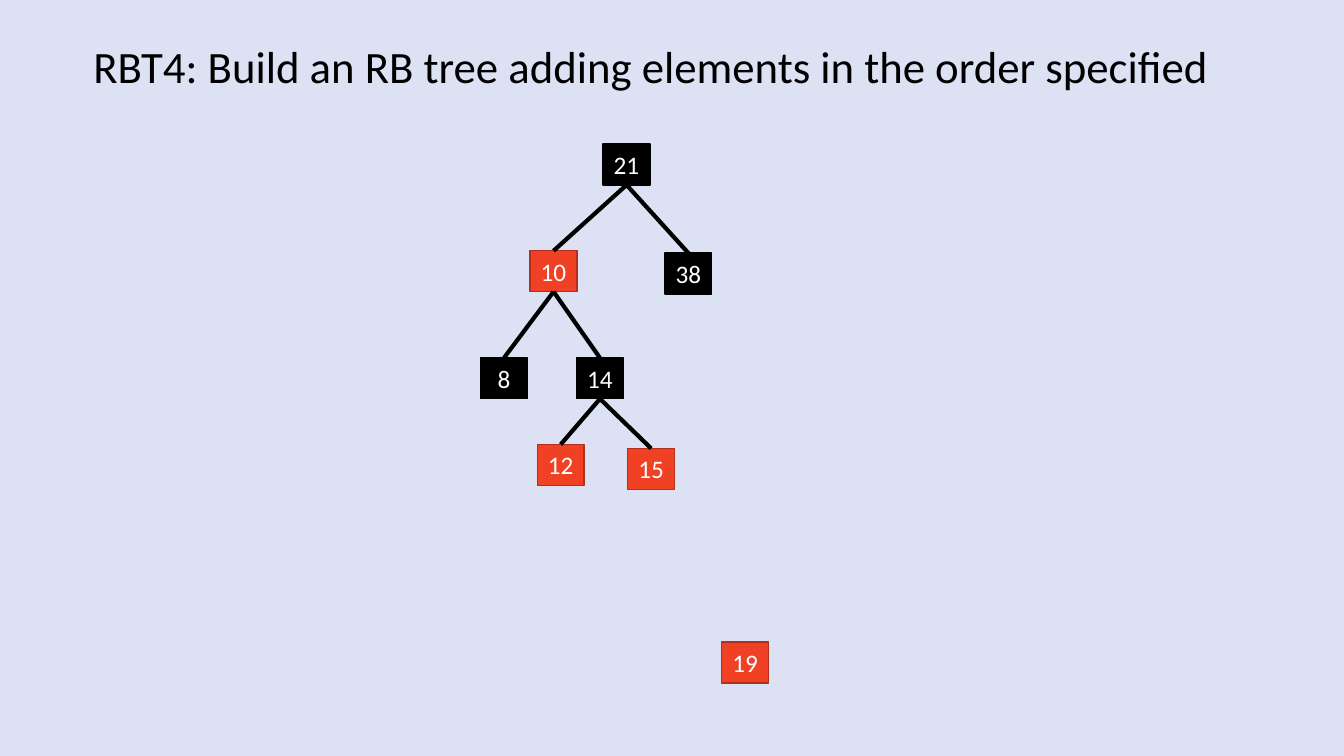
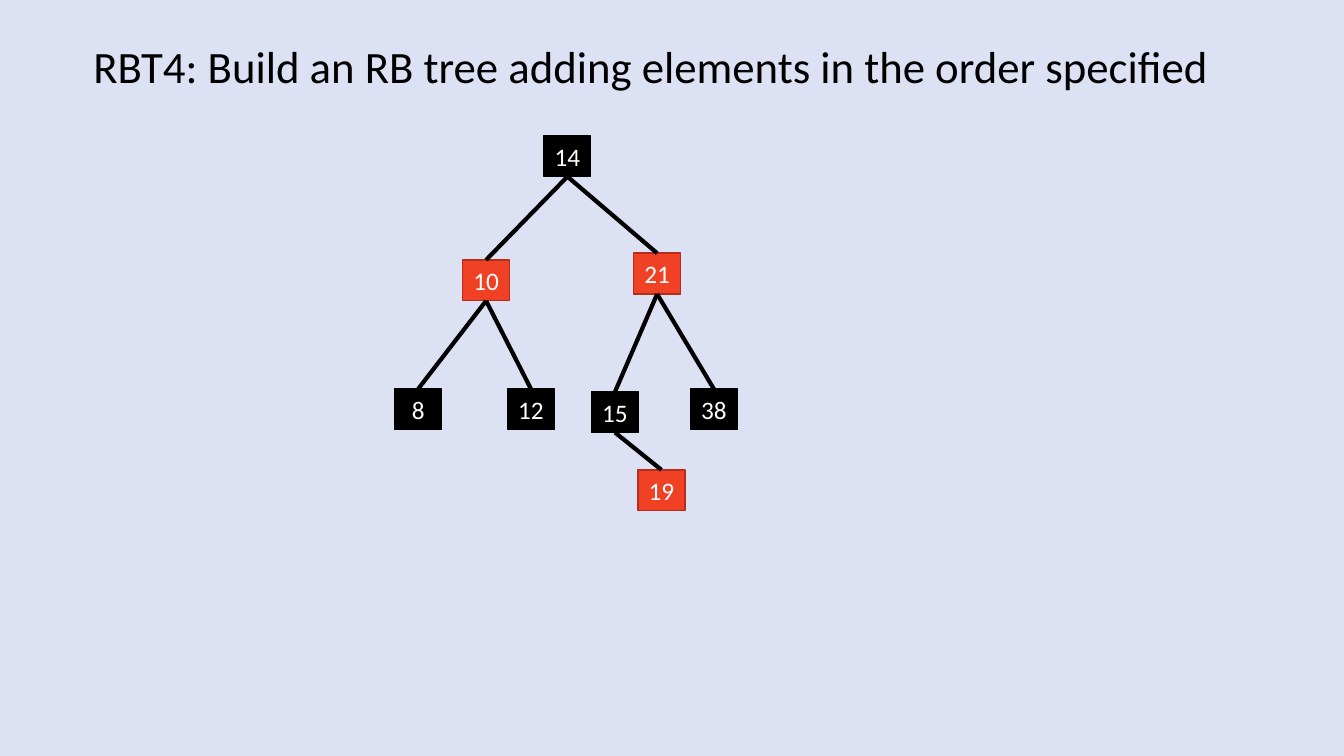
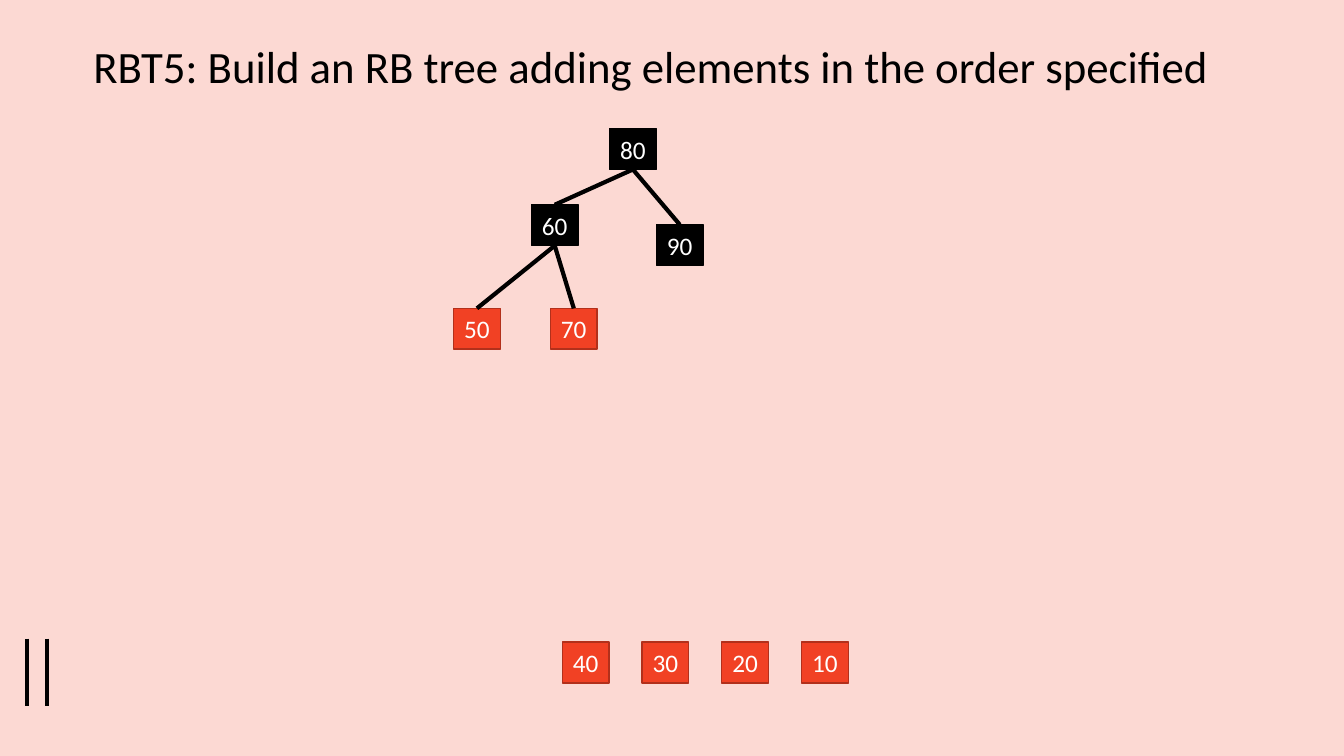
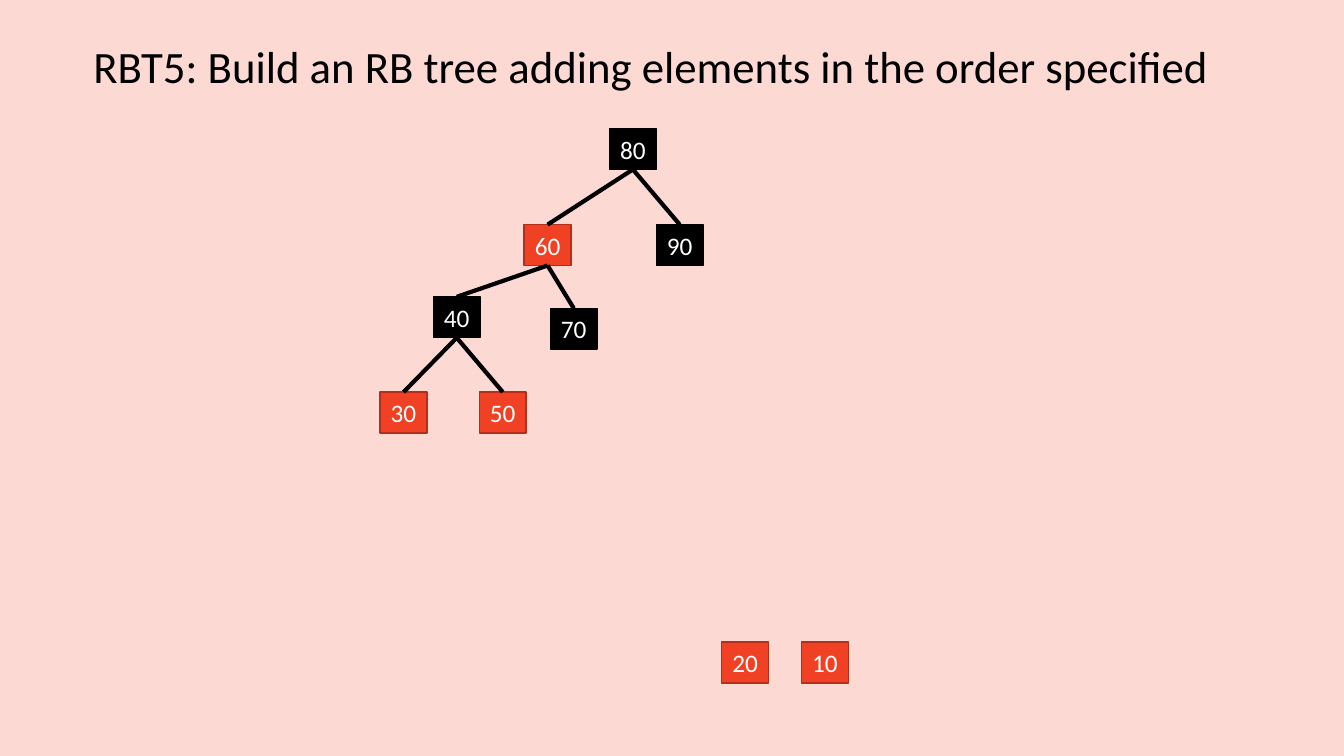
from dataclasses import dataclass

from lxml.etree import SubElement
from pptx import Presentation
from pptx.dml.color import RGBColor
from pptx.enum.shapes import MSO_CONNECTOR, MSO_SHAPE
from pptx.enum.text import MSO_ANCHOR, MSO_AUTO_SIZE, PP_ALIGN
from pptx.oxml.ns import qn
from pptx.util import Cm, Pt


@dataclass(frozen=True)
class Theme:
    font: str = "Calibri"
    title_size: int = 32
    node_size: int = 18
    outline: int = 1
    edge: int = 3
    black: RGBColor = RGBColor.from_string("000000")
    red: RGBColor = RGBColor.from_string("F14124")
    red_outline: RGBColor = RGBColor.from_string("B2301B")
    white: RGBColor = RGBColor.from_string("FFFFFF")
    blue_page: RGBColor = RGBColor.from_string("DCE1F4")
    pink_page: RGBColor = RGBColor.from_string("FCD9D3")


theme = Theme()
OUTLINES = {theme.black: theme.black, theme.red: theme.red_outline}
NODE_WIDTH, NODE_HEIGHT = 1.18, 1.03
QUEUE_LEFT, QUEUE_TOP, QUEUE_STEP = 14.17, 16.18, 2.01


def write(frame, text, *, size, color, align, anchor, wrap=True):
    frame.word_wrap = wrap
    frame.auto_size = MSO_AUTO_SIZE.SHAPE_TO_FIT_TEXT
    frame.vertical_anchor = anchor
    paragraph = frame.paragraphs[0]
    paragraph.alignment = align
    run = paragraph.add_run()
    run.text = text
    run.font.name = theme.font
    run.font.size = Pt(size)
    run.font.color.rgb = color


def draw_line(slide, start=(0, 0), end=(0, 0)):
    line = slide.shapes.add_connector(
        MSO_CONNECTOR.STRAIGHT, *(Cm(length) for length in start + end)
    )
    line.line.color.rgb = theme.black
    line.line.width = Pt(theme.edge)
    SubElement(line._element.spPr, qn("a:effectLst"))
    return line


steps = [
    {
        "exercise": "RBT4",
        "page": theme.blue_page,
        "tree": [
            ("21", None, theme.black, 15.20, 3.63),
            ("10", "21", theme.red, 13.36, 6.32),
            ("38", "21", theme.black, 16.76, 6.38),
            ("8", "10", theme.black, 12.11, 9.02),
            ("14", "10", theme.black, 14.53, 9.02),
            ("12", "14", theme.red, 13.54, 11.20),
            ("15", "14", theme.red, 15.82, 11.30),
        ],
        "queue": {2: "19"},
        "pause": [],
    },
    {
        "exercise": "RBT4",
        "page": theme.blue_page,
        "tree": [
            ("14", None, theme.black, 13.71, 3.42),
            ("10", "14", theme.red, 11.66, 6.55),
            ("21", "14", theme.red, 15.97, 6.38),
            ("8", "10", theme.black, 9.95, 9.80),
            ("12", "10", theme.black, 12.79, 9.80),
            ("15", "21", theme.black, 14.91, 9.87),
            ("38", "21", theme.black, 17.40, 9.80),
            ("19", "15", theme.red, 16.08, 11.84),
        ],
        "queue": {},
        "pause": [],
    },
    {
        "exercise": "RBT5",
        "page": theme.pink_page,
        "tree": [
            ("80", None, theme.black, 15.36, 3.24),
            ("60", "80", theme.black, 13.39, 5.16),
            ("90", "80", theme.black, 16.54, 5.66),
            ("50", "60", theme.red, 11.43, 7.77),
            ("70", "60", theme.red, 13.87, 7.77),
        ],
        "queue": {0: "40", 1: "30", 2: "20", 3: "10"},
        "pause": [0.69, 1.19],
    },
    {
        "exercise": "RBT5",
        "page": theme.pink_page,
        "tree": [
            ("80", None, theme.black, 15.36, 3.24),
            ("60", "80", theme.red, 13.21, 5.66),
            ("90", "80", theme.black, 16.54, 5.66),
            ("40", "60", theme.black, 10.92, 7.48),
            ("70", "60", theme.black, 13.87, 7.77),
            ("30", "40", theme.red, 9.58, 9.88),
            ("50", "40", theme.red, 12.08, 9.88),
        ],
        "queue": {2: "20", 3: "10"},
        "pause": [],
    },
]

deck = Presentation()
deck.slide_width, deck.slide_height = Cm(33.87), Cm(19.05)
title_only = deck.slide_layouts[5]

for step in steps:
    slide = deck.slides.add_slide(title_only)
    slide.background.fill.solid()
    slide.background.fill.fore_color.rgb = step["page"]

    title = slide.shapes.title
    title.left, title.top, title.width, title.height = Cm(2.1), Cm(0.85), Cm(28.9), Cm(1.62)
    write(
        title.text_frame,
        f"{step['exercise']}: Build an RB tree adding elements in the order specified",
        size=theme.title_size,
        color=theme.black,
        align=PP_ALIGN.LEFT,
        anchor=MSO_ANCHOR.TOP,
        wrap=False,
    )

    waiting = [
        (key, None, theme.red, QUEUE_LEFT + slot * QUEUE_STEP, QUEUE_TOP)
        for slot, key in step["queue"].items()
    ]
    nodes = {}
    for key, parent, color, left, top in step["tree"] + waiting:
        node = slide.shapes.add_shape(
            MSO_SHAPE.RECTANGLE, Cm(left), Cm(top), Cm(NODE_WIDTH), Cm(NODE_HEIGHT)
        )
        node.shadow.inherit = False
        node.fill.solid()
        node.fill.fore_color.rgb = color
        node.line.color.rgb = OUTLINES[color]
        node.line.width = Pt(theme.outline)
        write(
            node.text_frame,
            key,
            size=theme.node_size,
            color=theme.white,
            align=PP_ALIGN.CENTER,
            anchor=MSO_ANCHOR.MIDDLE,
        )
        nodes[key] = node

    for key, parent, *_ in step["tree"]:
        if parent:
            edge = draw_line(slide)
            edge.begin_connect(nodes[parent], 2)
            edge.end_connect(nodes[key], 0)

    for bar in step["pause"]:
        draw_line(slide, (bar, 16.09), (bar, 17.78))

deck.save("out.pptx")
